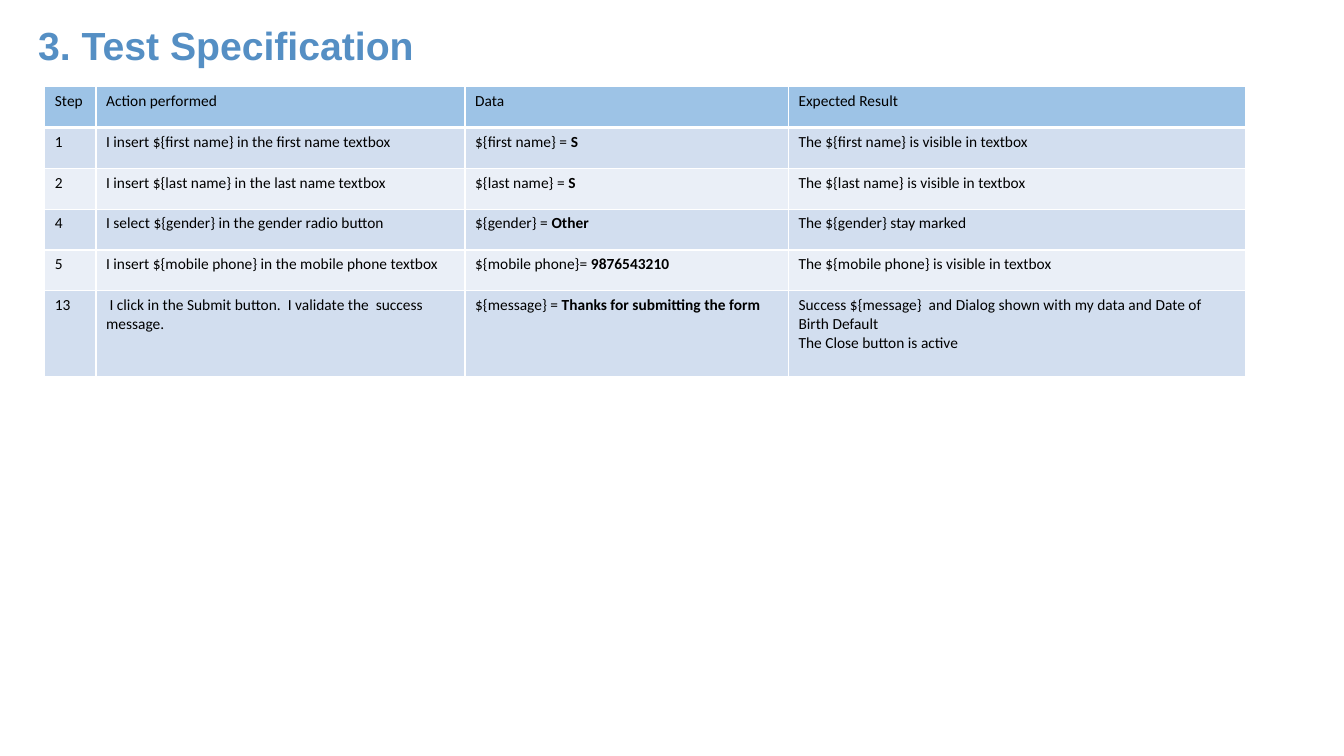
from lxml import etree
from pptx import Presentation
from pptx.dml.color import RGBColor
from pptx.oxml.ns import qn
from pptx.util import Cm, Pt

BLANK_LAYOUT = 6
TITLE_BLUE, HEADER_BLUE = "558FC4", "9DC3E6"
BAND_FILLS = ("D2DEEF", "EAEFF7")
BLACK, WHITE = "000000", "FFFFFF"

COLUMN_WIDTHS = (1.29, 9.3, 8.15, 11.51)
ROW_HEIGHT, LAST_ROW_HEIGHT = 1.03, 2.15

HEADINGS = ("Step", "Action performed", "Data", "Expected Result")
# Step, action, data name, data value, expected result
STEPS = (
    ("1", "I insert ${first name} in the first name textbox",
     "${first name} = ", "S", "The ${first name} is visible in textbox"),
    ("2", "I insert ${last name} in the last name textbox",
     "${last name} = ", "S", "The ${last name} is visible in textbox"),
    ("4", "I select ${gender} in the gender radio button",
     "${gender} = ", "Other", "The ${gender} stay marked"),
    ("5", "I insert ${mobile phone} in the mobile phone textbox",
     "${mobile phone}= ", "9876543210", "The ${mobile phone} is visible in textbox"),
    ("13", " I click in the Submit button.  I validate the  success message.",
     "${message} = ", "Thanks for submitting the form",
     "Success ${message}  and Dialog shown with my data and Date of Birth Default\n"
     "The Close button is active"),
)


def color(value):
    return RGBColor.from_string(value)


def set_font(font, name, size, value, bold):
    font.name, font.size, font.bold = name, Pt(size), bold
    font.color.rgb = color(value)


def add_title(slide, left, top, width, height):
    frame = slide.shapes.add_textbox(Cm(left), Cm(top), Cm(width), Cm(height)).text_frame
    frame.word_wrap = True
    paragraph = frame.paragraphs[0]
    paragraph.text = "3. Test Specification"
    set_font(paragraph.font, "Arial", 28, TITLE_BLUE, True)


def add_borders(cell, top, bottom):
    properties = cell._tc.get_or_add_tcPr()
    for side, width in (("L", 1), ("R", 1), ("T", top), ("B", bottom)):
        line = etree.SubElement(properties, qn(f"a:ln{side}"), w=str(Pt(width)))
        fill = etree.SubElement(line, qn("a:solidFill"))
        etree.SubElement(fill, qn("a:srgbClr"), val=WHITE)


def fill_cell(cell, text, fill, bold_text=""):
    cell.fill.solid()
    cell.fill.fore_color.rgb = color(fill)
    cell.text_frame.text = text
    for paragraph in cell.text_frame.paragraphs:
        set_font(paragraph.font, "Calibri", 11, BLACK, False)
    if bold_text:
        run = cell.text_frame.paragraphs[0].add_run()
        run.text = bold_text
        run.font.bold = True


def add_steps_table(slide, left, top):
    row_heights = [ROW_HEIGHT] * len(STEPS) + [LAST_ROW_HEIGHT]
    table = slide.shapes.add_table(
        len(row_heights), len(COLUMN_WIDTHS), Cm(left), Cm(top),
        Cm(sum(COLUMN_WIDTHS)), Cm(sum(row_heights))).table
    for column, width in zip(table.columns, COLUMN_WIDTHS):
        column.width = Cm(width)
    for row, height in zip(table.rows, row_heights):
        row.height = Cm(height)

    # Thick rule between the header and the steps
    for index, row in enumerate(table.rows):
        for cell in row.cells:
            add_borders(cell, top=3 if index == 1 else 1, bottom=3 if index == 0 else 1)

    # Header
    for cell, heading in zip(table.rows[0].cells, HEADINGS):
        fill_cell(cell, heading, HEADER_BLUE)

    # Banded steps
    for index, (step, action, name, value, result) in enumerate(STEPS):
        fill = BAND_FILLS[index % 2]
        cells = table.rows[index + 1].cells
        fill_cell(cells[0], step, fill)
        fill_cell(cells[1], action, fill)
        fill_cell(cells[2], name, fill, bold_text=value)
        fill_cell(cells[3], result, fill)


def main():
    presentation = Presentation()
    presentation.slide_width, presentation.slide_height = Cm(33.87), Cm(19.05)
    slide = presentation.slides.add_slide(presentation.slide_layouts[BLANK_LAYOUT])
    add_title(slide, 0.71, 0.41, 18.24, 1.45)
    add_steps_table(slide, 1.13, 2.18)
    presentation.save("out.pptx")


if __name__ == "__main__":
    main()
